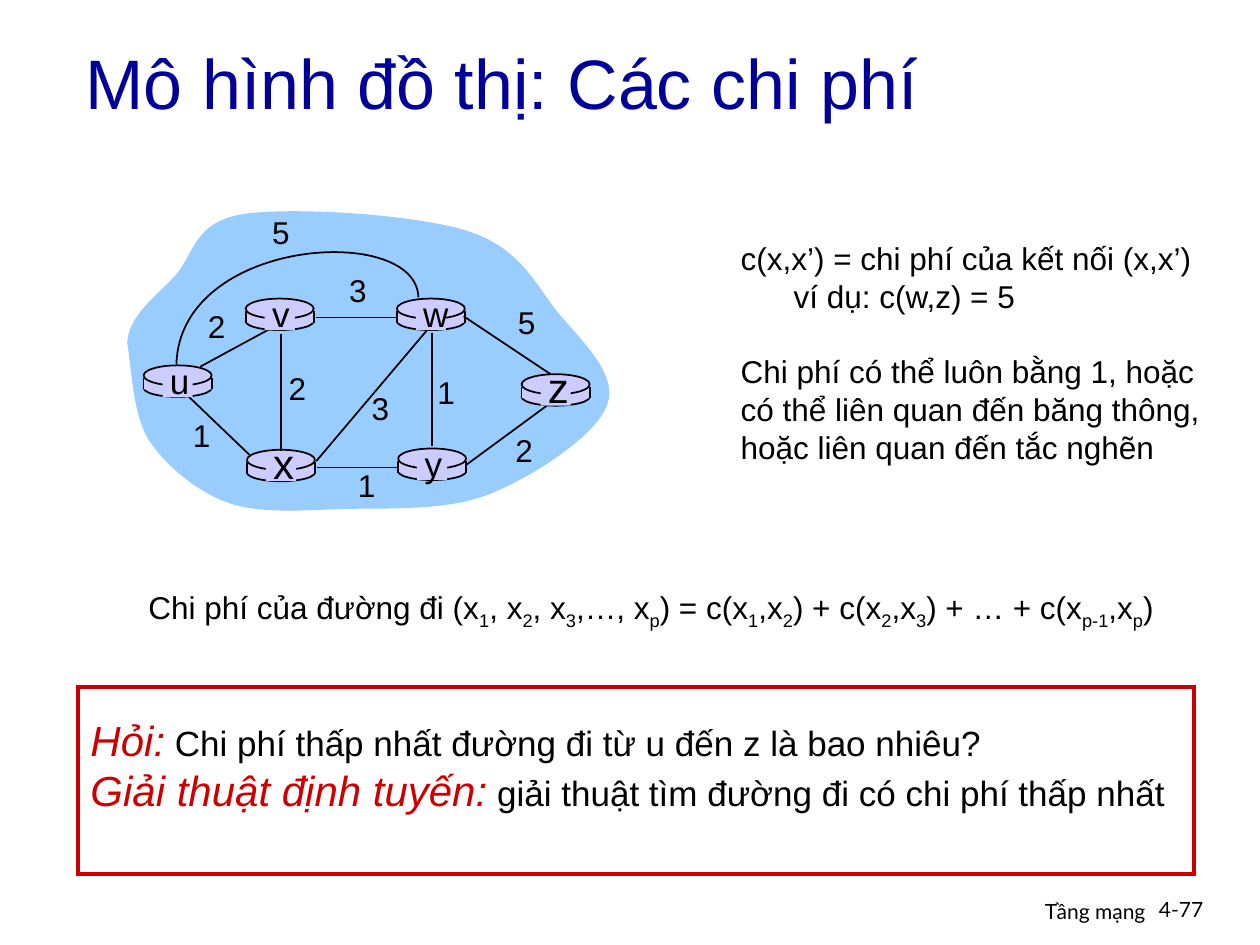
import pptx
import pptx.util
import pptx.dml.color
import pptx.enum.shapes
import pptx.enum.text
import pptx.oxml.ns
import lxml.etree

Inches, Pt = pptx.util.Inches, pptx.util.Pt
Kind = pptx.enum.shapes.MSO_SHAPE
Align = pptx.enum.text.PP_ALIGN
Anchor = pptx.enum.text.MSO_ANCHOR
Fit = pptx.enum.text.MSO_AUTO_SIZE
color = pptx.dml.color.RGBColor.from_string
qn = pptx.oxml.ns.qn
BLACK, RED, NAVY, LILAC, SKY = "000000", "CC0000", "000099", "CCCCFF", "99CCFF"


def paint(shape, fill=None, line=None, width=1):
    shape.shadow.inherit = False
    if fill:
        shape.fill.solid()
        shape.fill.fore_color.rgb = color(fill)
    else:
        shape.fill.background()
    if line:
        shape.line.color.rgb = color(line)
        shape.line.width = Pt(width)
    else:
        shape.line.fill.background()


def write(para, text, size, tint=BLACK, face="Arial", slant=False):
    run = para.add_run()
    run.text = text
    run.font.size = Pt(size)
    run.font.name = face
    run.font.italic = slant
    run.font.color.rgb = color(tint)
    return run


deck = pptx.Presentation()
deck.slide_width, deck.slide_height = Inches(10), Inches(7.5)
slide = deck.slides.add_slide(deck.slide_layouts[5])

title = slide.shapes.title
title.left, title.top = Inches(0.58), Inches(0.24)
title.width, title.height = Inches(8.5), Inches(0.82)
title.text_frame.vertical_anchor = Anchor.MIDDLE
para = title.text_frame.paragraphs[0]
para.alignment = Align.LEFT
write(para, "Mô hình đồ thị: Các chi phí", 40, NAVY)

# Network graph: cloud and the curved edge u-w; three points make one cubic curve
graph = slide.shapes.add_group_shape().shapes
cloud = [
    (1.02, 2.51), (1.23, 2.36), (1.39, 2.19), (1.54, 2.02), (1.54, 1.76), (1.93, 1.7),
    (2.31, 1.64), (3.28, 1.7), (3.7, 1.83), (4.12, 1.96), (4.24, 2.24), (4.42, 2.47),
    (4.61, 2.7), (4.91, 2.97), (4.82, 3.21), (4.74, 3.45), (4.24, 3.78), (3.89, 3.92),
    (3.54, 4.06), (3.08, 4.03), (2.73, 4.04), (2.39, 4.05), (2.07, 4.08), (1.81, 3.99),
    (1.56, 3.9), (1.32, 3.7), (1.18, 3.49), (1.05, 3.28), (1.04, 2.88), (1.01, 2.72),
]
arc = [(3.31, 1.77), (1.43, 1.88), (1.4, 2.89)]
for start, dots, closed, fill, line in [
    ((1.01, 2.72), cloud, True, SKY, None),
    ((3.32, 2.36), arc, False, None, BLACK),
]:
    pen = graph.build_freeform(Inches(start[0]), Inches(start[1]))
    pen.add_line_segments([(Inches(x), Inches(y)) for x, y in dots], close=closed)
    curve = pen.convert_to_shape()
    paint(curve, fill, line)
    legs = list(curve._element.iter(qn("a:lnTo")))
    for i in range(0, len(dots), 3):
        bend = lxml.etree.Element(qn("a:cubicBezTo"))
        legs[i].addprevious(bend)
        for leg in legs[i:i + 3]:
            bend.append(leg[0])
            leg.getparent().remove(leg)

routers = [
    ("u", 1.14, 2.9, 20), ("x", 1.96, 3.57, 24), ("v", 1.95, 2.37, 20),
    ("w", 3.15, 2.37, 20), ("y", 3.16, 3.56, 20), ("z", 4.14, 2.97, 24),
]
edges = [
    (1.59, 2.91, 2.18, 2.59), (3.43, 2.64, 3.43, 3.54), (2.23, 2.65, 2.23, 3.58),
    (2.51, 3.66, 3.39, 2.62), (3.7, 3.69, 4.34, 3.22), (3.16, 3.71, 2.52, 3.71),
    (1.98, 3.61, 1.5, 3.15), (3.15, 2.52, 2.51, 2.52), (4.37, 2.97, 3.68, 2.51),
]
WIDE = 0.54
sides = [
    (x + dx, y + 0.1, x + dx, y + 0.19) for _, x, y, _ in routers for dx in (0, WIDE)
]

# Each router is a drum: base, body, then top, with the sides as lines
for name, x, y, size in routers:
    for kind, drop, tall, line in [
        (Kind.OVAL, 0.11, 0.14, BLACK),
        (Kind.RECTANGLE, 0.1, 0.09, None),
        (Kind.OVAL, 0, 0.16, BLACK),
    ]:
        part = graph.add_shape(
            kind, Inches(x), Inches(y + drop), Inches(WIDE), Inches(tall))
        paint(part, LILAC, line)

for ends in sides + edges:
    link = graph.add_connector(
        pptx.enum.shapes.MSO_CONNECTOR.STRAIGHT, *[Inches(v) for v in ends])
    link.line.color.rgb = color(BLACK)
    link.line.width = Pt(1)
    lxml.etree.SubElement(link._element.spPr, qn("a:effectLst"))

labels = []
for name, x, y, size in routers:
    patch = graph.add_shape(
        Kind.RECTANGLE, Inches(x + 0.15), Inches(y + 0.02), Inches(0.24), Inches(0.23))
    paint(patch, LILAC)
    rise = 0.15 if size == 24 else 0.1
    labels.append((name, x + 0.11, y - rise, size))

labels += [
    ("2", 1.55, 2.39, 18), ("2", 2.19, 2.88, 18), ("1", 1.43, 3.25, 18),
    ("3", 2.85, 3.04, 18), ("1", 2.74, 3.65, 18), ("1", 3.37, 2.91, 18),
    ("2", 3.99, 3.37, 18), ("5", 4.01, 2.36, 18), ("3", 2.67, 2.1, 18),
    ("5", 2.06, 1.64, 18),
]
for text, x, y, size in labels:
    box = graph.add_textbox(
        Inches(x), Inches(y), Inches(0.34), Inches(size / 60 + 0.1))
    box.text_frame.word_wrap = False
    box.text_frame.auto_size = Fit.SHAPE_TO_FIT_TEXT
    para = box.text_frame.paragraphs[0]
    para.alignment = Align.CENTER
    write(para, text, size)

# Explanation of link costs
box = slide.shapes.add_textbox(Inches(5.78), Inches(1.85), Inches(3.91), Inches(1.9))
frame = box.text_frame
frame.word_wrap = False
frame.auto_size = Fit.SHAPE_TO_FIT_TEXT
for i, (text, indent, gap) in enumerate([
    ("c(x,x’) = chi phí của kết nối (x,x’)", 0, 0),
    ("ví dụ: c(w,z) = 5", 0.42, 0),
    ("Chi phí có thể luôn bằng 1, hoặc", 0, 21.5),
    ("có thể liên quan đến băng thông,", 0, 0),
    ("hoặc liên quan đến tắc nghẽn", 0, 0),
]):
    para = frame.add_paragraph() if i else frame.paragraphs[0]
    para.space_before = Pt(gap)
    para._p.get_or_add_pPr().set("marL", str(Inches(indent)))
    write(para, text, 18)

# Path cost: every second part is a subscript
box = slide.shapes.add_textbox(Inches(1.08), Inches(4.62), Inches(8.31), Inches(0.44))
box.text_frame.word_wrap = False
para = box.text_frame.paragraphs[0]
parts = [
    "Chi phí của đường đi (x", "1", ", x", "2", ", x", "3", ",…, x", "p",
    ") = c(x", "1", ",x", "2", ") + c(x", "2", ",x", "3",
    ") + … + c(x", "p-1", ",x", "p", ")",
]
for i, text in enumerate(parts):
    run = write(para, text, 18)
    if i % 2:
        run._r.get_or_add_rPr().set("baseline", "-25000")

# Question box, with square corners
box = slide.shapes.add_shape(
    Kind.RECTANGLE, Inches(0.62), Inches(5.45), Inches(8.86), Inches(1.49))
paint(box, None, RED, 2.25)
rim = box._element.spPr.find(qn("a:ln"))
lxml.etree.SubElement(rim, qn("a:miter")).set("lim", "800000")
frame = box.text_frame
frame.word_wrap = True
frame.vertical_anchor = Anchor.TOP
frame.margin_top = Inches(0.22)
for i, (lead, rest) in enumerate([
    ("Hỏi:", " Chi phí thấp nhất đường đi từ u đến z là bao nhiêu?"),
    ("Giải thuật định tuyến:", " giải thuật tìm đường đi có chi phí thấp nhất"),
]):
    para = frame.add_paragraph() if i else frame.paragraphs[0]
    para.alignment = Align.LEFT
    write(para, lead, 24, RED, slant=True)
    write(para, rest, 20)

# Footer
for text, x, y, wide, align in [
    ("4-77", 9.1, 7.07, 0.74, Align.LEFT),
    ("Tầng mạng", 6.02, 7.08, 3.17, Align.RIGHT),
]:
    box = slide.shapes.add_textbox(Inches(x), Inches(y), Inches(wide), Inches(0.3))
    box.text_frame.word_wrap = True
    para = box.text_frame.paragraphs[0]
    para.alignment = align
    write(para, text, 12, face="Lato")

deck.save("out.pptx")
